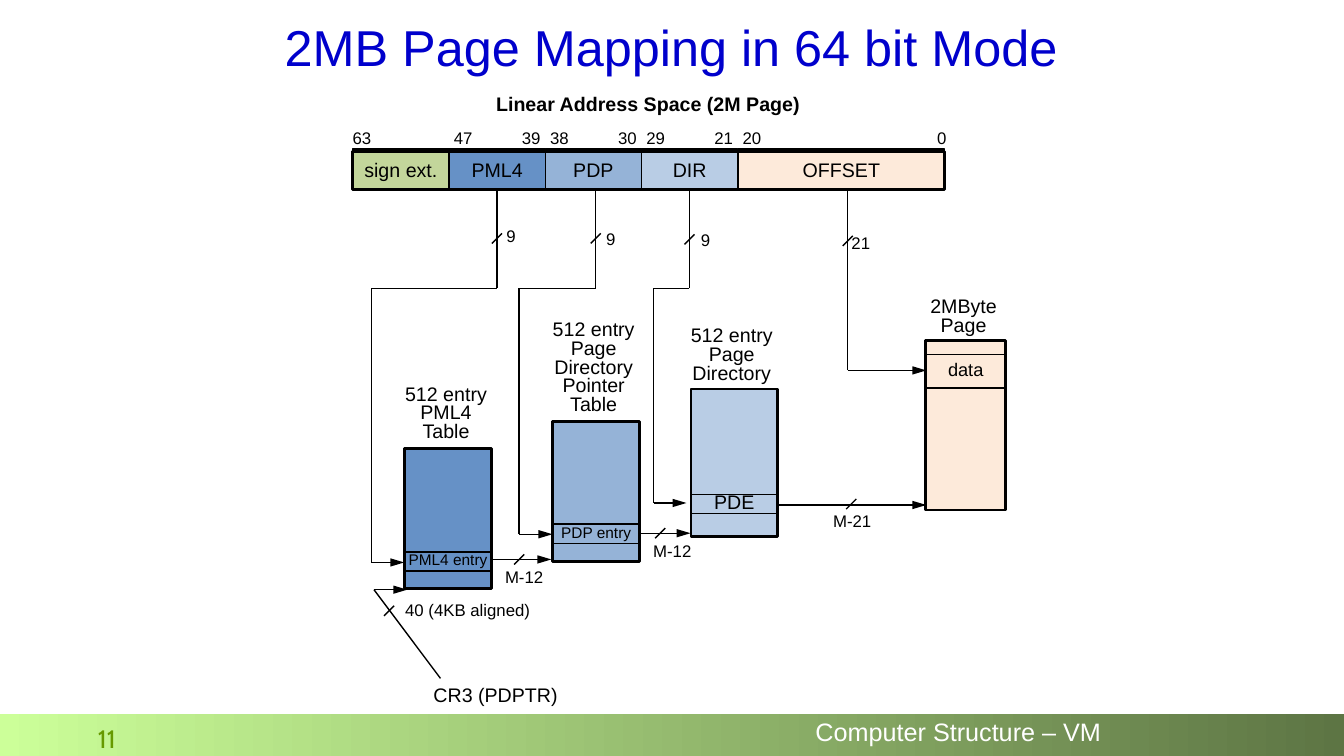
"""Build the slide on 2MB page mapping in 64 bit mode."""
from itertools import pairwise

from lxml.etree import SubElement
from pptx import Presentation
from pptx.dml.color import RGBColor
from pptx.enum.shapes import MSO_CONNECTOR, MSO_SHAPE
from pptx.enum.text import MSO_ANCHOR, PP_ALIGN
from pptx.oxml.ns import qn
from pptx.util import Inches, Pt

COLORS = {
    "ink": "000000", "title": "0000CC", "white": "FFFFFF", "number": "669900",
    "sign": "C3D69B", "pml4": "6691C6", "pdp": "95B3D7", "dir": "B9CDE5",
    "page": "FDEADA", "bar_start": "CCFF99", "bar_end": "5D7544",
}

# Grid: one column or row is a tenth of an inch.
CELL = Inches(0.1)
COLUMNS, ROWS = 133.33, 75
FIELD_LEFT, FIELD_TOP, FIELD_HEIGHT, FIELD_WIDTH = 35, 14.8, 4, 9.55
BIT_ROW, BIT_INSET = 13.9, 1.4
STEM_TOP, BEND_ROW = 18.9, 28.6
TICK = 0.5

# Name, colour, width in fields, high bit and its inset, low bit and its inset.
FIELDS = [
    ("sign ext.", "sign", 1, "63", 0.9, "", 0),
    ("PML4", "pml4", 1, "47", BIT_INSET, "39", BIT_INSET),
    ("PDP", "pdp", 1, "38", BIT_INSET, "30", BIT_INSET),
    ("DIR", "dir", 1, "29", BIT_INSET, "21", BIT_INSET),
    ("OFFSET", "page", 2.15, "20", BIT_INSET, "0", 0.3),
]
# Caption and its middle, colour, frame, entry, its size, top and height.
TABLES = [
    ("512 entry\nPML4\nTable", (44.25, 41.1), "pml4", (40.15, 44.5, 8.6, 13.9),
     "PML4 entry", 11, 54.75, 1.9),
    ("512 entry\nPage\nDirectory\nPointer\nTable", (58.9, 36.55), "pdp",
     (54.85, 41.8, 8.6, 13.9), "PDP entry", 11, 52, 1.9),
    ("512 entry\nPage\nDirectory", (72.6, 35.3), "dir", (68.55, 38.6, 8.6, 14.6),
     "PDE", 14, 49.05, 1.9),
    ("2MByte\nPage", (95.6, 31.45), "page", (91.85, 33.8, 7.9, 16.8),
     "data", 13, 35.2, 3.3),
]
# Points of each path; the last segment carries the arrowhead.
INDEX_PATHS = [
    [(49.3, STEM_TOP), (49.3, BEND_ROW), (36.85, BEND_ROW), (36.85, 55.8), (40.1, 55.8)],
    [(59.1, STEM_TOP), (59.1, BEND_ROW), (51.5, BEND_ROW), (51.5, 53), (54.8, 53)],
    [(68.4, STEM_TOP), (68.4, BEND_ROW), (64.85, BEND_ROW), (64.85, 49.9), (68.1, 49.9)],
    [(84.1, STEM_TOP), (84.1, 36.75), (91.9, 36.75)],
]
BASE_PATHS = [
    [(48.8, 55.5), (54.7, 55.5)],
    [(63.5, 52.9), (68.5, 52.9)],
    [(77.2, 50.1), (91.9, 50.1)],
    [(43.7, 67.3), (37.1, 58.5), (40.4, 58.5)],
]
# Bus width, centre of its label, centre of its tick.
BUS_WIDTHS = [
    ("9", (50.7, 23.6), (49.3, 23.65)),
    ("9", (60.6, 23.9), (59.1, 23.65)),
    ("9", (70, 24), (68.4, 23.75)),
    ("21", (85.4, 24.25), (84.1, 23.9)),
    ("M-12", (52, 57.4), (51.5, 55.5)),
    ("M-12", (66.7, 54.8), (65.5, 52.9)),
    ("M-21", (84.55, 51.85), (84.45, 50)),
    ("40 (4KB aligned)", (46.4, 60.65), (38.6, 60.6)),
]


def grid(value):
    return round(value * CELL)


def write(shape, text, size=14, color="ink", font="Arial", bold=False,
          align=PP_ALIGN.CENTER, spacing=0.8):
    frame = shape.text_frame
    frame.word_wrap = False
    frame.vertical_anchor = MSO_ANCHOR.MIDDLE
    frame.margin_left = frame.margin_right = frame.margin_top = frame.margin_bottom = 0
    frame.text = text
    for paragraph in frame.paragraphs:
        paragraph.alignment = align
        paragraph.line_spacing = spacing
        for run in paragraph.runs:
            run.font.name, run.font.size, run.font.bold = font, Pt(size), bold
            run.font.color.rgb = RGBColor.from_string(COLORS[color])


def label(slide, text, center, width=10, height=2.4, **style):
    x, y = center
    area = (x - width / 2, y - height / 2, width, height)
    write(slide.shapes.add_textbox(*map(grid, area)), text, **style)


def box(slide, area, fill=None, weight=1):
    shape = slide.shapes.add_shape(MSO_SHAPE.RECTANGLE, *map(grid, area))
    shape.shadow.inherit = False
    if fill:
        shape.fill.solid()
        shape.fill.fore_color.rgb = RGBColor.from_string(COLORS[fill])
    else:
        shape.fill.background()
    shape.line.color.rgb = RGBColor.from_string(COLORS["ink"])
    shape.line.width = Pt(weight)
    return shape


def wire(slide, start, end, arrow=False):
    line = slide.shapes.add_connector(MSO_CONNECTOR.STRAIGHT, *map(grid, (*start, *end)))
    line.line.color.rgb = RGBColor.from_string(COLORS["ink"])
    line.line.width = Pt(1)
    if arrow:
        SubElement(line.line._get_or_add_ln(), qn("a:tailEnd"), type="triangle", w="med", len="lg")
    SubElement(line._element.spPr, qn("a:effectLst"))


def draw_footer(slide):
    bar = box(slide, (0, 70.8, COLUMNS, 4.2), "bar_start")
    bar.line.fill.background()
    bar.fill.gradient()
    bar.fill.gradient_angle = 0
    for stop, color, position in zip(bar.fill.gradient_stops, ("bar_start", "bar_end"), (0, 1)):
        stop.color.rgb = RGBColor.from_string(COLORS[color])
        stop.position = position
    label(slide, "Computer Structure – VM", (98.4, 72.8), width=35, height=3,
          size=18, color="white", align=PP_ALIGN.LEFT)
    label(slide, "11", (10.6, 73.4), width=7.8, height=2.7,
          size=18, color="number", font="Cabin", spacing=0.9)


def draw_fields(slide):
    left = FIELD_LEFT
    for name, color, share, high, high_inset, low, low_inset in FIELDS:
        width = share * FIELD_WIDTH
        field = box(slide, (left, FIELD_TOP, width, FIELD_HEIGHT), color)
        write(field, name, spacing=1)
        label(slide, high, (left + high_inset, BIT_ROW), width=3, size=12)
        left += width
        if low:
            label(slide, low, (left - low_inset, BIT_ROW), width=3, size=12)
    box(slide, (FIELD_LEFT, FIELD_TOP + 0.2, left - FIELD_LEFT, FIELD_HEIGHT - 0.2), weight=2)


def draw_tables(slide):
    for caption, middle, color, area, entry, size, top, height in TABLES:
        left, _, width, _ = area
        box(slide, area, color, weight=2)
        write(box(slide, (left, top, width, height)), entry, size=size)
        lines = caption.count("\n") + 1
        label(slide, caption, middle, height=1.9 * lines)


def draw_wiring(slide):
    for path in INDEX_PATHS + BASE_PATHS:
        for start, end in pairwise(path):
            wire(slide, start, end, arrow=end == path[-1])
    for text, center, (x, y) in BUS_WIDTHS:
        wire(slide, (x + TICK, y - TICK), (x - TICK, y + TICK))
        label(slide, text, center, width=16, size=12)


def main():
    deck = Presentation()
    deck.slide_width, deck.slide_height = grid(COLUMNS), grid(ROWS)
    slide = deck.slides.add_slide(deck.slide_layouts[6])
    draw_footer(slide)
    label(slide, "2MB Page Mapping in 64 bit Mode", (66.6, 4.95), width=107.8,
          height=6.7, size=36, color="title", spacing=0.9)
    label(slide, "Linear Address Space (2M Page)", (64.3, 10.5), width=36, bold=True)
    draw_fields(slide)
    draw_tables(slide)
    draw_wiring(slide)
    label(slide, "CR3 (PDPTR)", (50.5, 68.9), width=15, spacing=1, align=PP_ALIGN.LEFT)
    deck.save("out.pptx")


if __name__ == "__main__":
    main()
